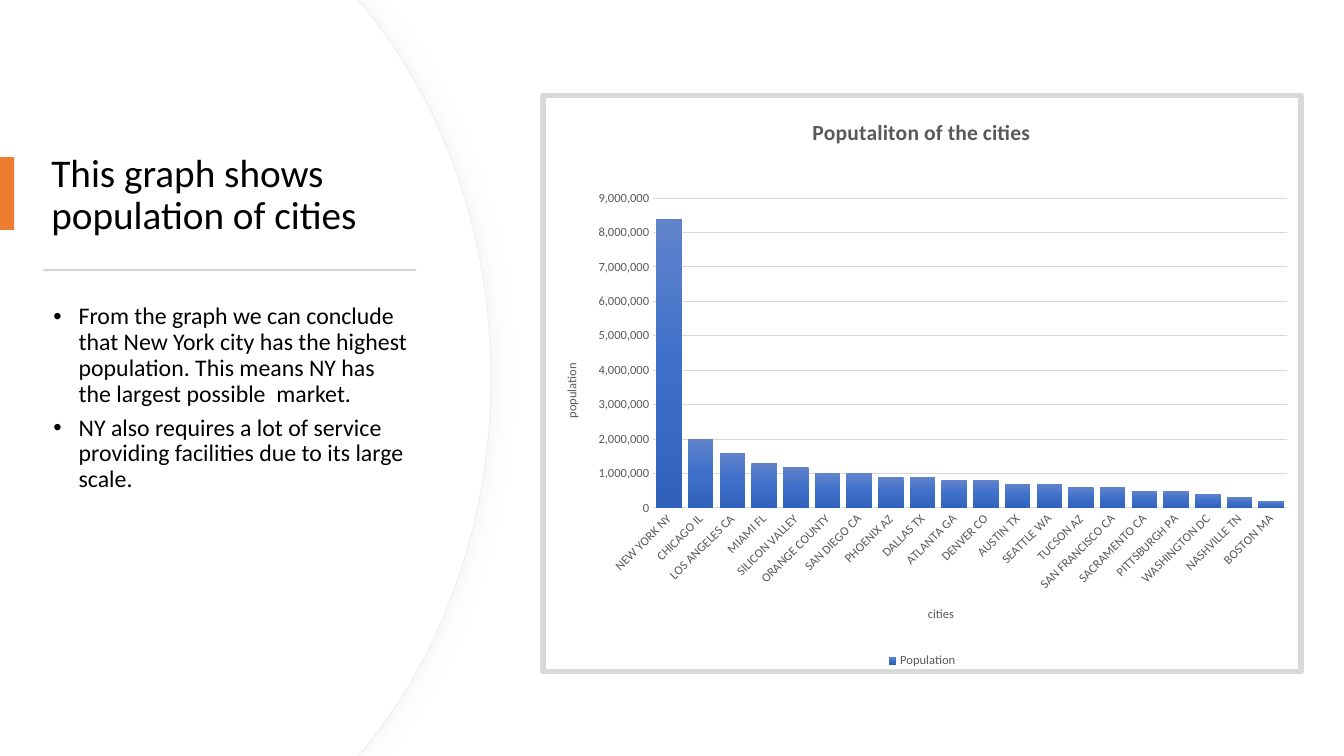
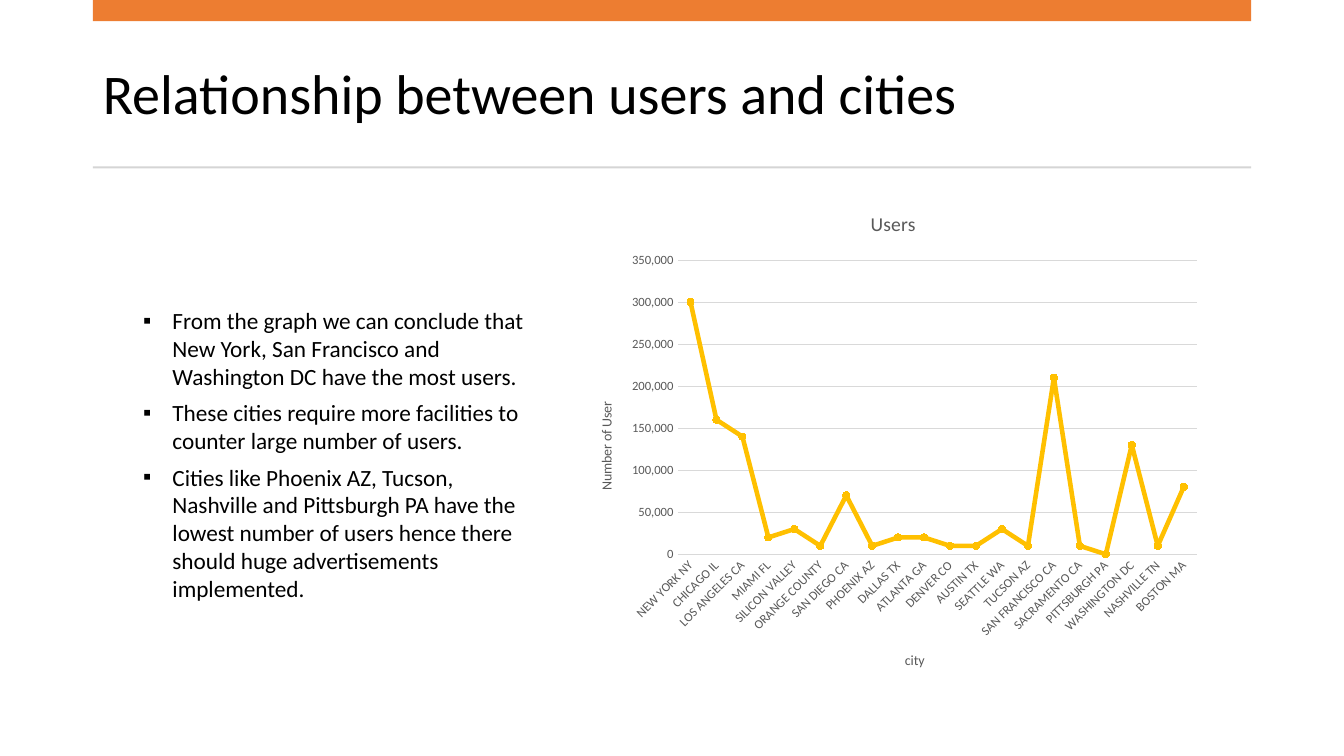
"""Build two slides that chart city population and users."""
from dataclasses import dataclass

from pptx import Presentation
from pptx.chart.data import CategoryChartData
from pptx.dml.color import RGBColor
from pptx.enum.chart import XL_CHART_TYPE, XL_LEGEND_POSITION, XL_MARKER_STYLE, XL_TICK_MARK
from pptx.enum.shapes import MSO_SHAPE
from pptx.enum.text import MSO_ANCHOR, MSO_AUTO_SIZE, PP_ALIGN
from pptx.oxml import parse_xml
from pptx.oxml.ns import nsdecls, qn
from pptx.util import Inches, Pt

COLUMNS = XL_CHART_TYPE.COLUMN_CLUSTERED
LINES = XL_CHART_TYPE.LINE_MARKERS
BOTTOM = XL_LEGEND_POSITION.BOTTOM
CIRCLE = XL_MARKER_STYLE.CIRCLE
NO_TICK = XL_TICK_MARK.NONE
RECTANGLE = MSO_SHAPE.RECTANGLE
TOP, MIDDLE = MSO_ANCHOR.TOP, MSO_ANCHOR.MIDDLE
FIXED_SIZE = MSO_AUTO_SIZE.NONE
LEFT = PP_ALIGN.LEFT


@dataclass(frozen=True)
class Theme:
    font: str = "Calibri"
    text: str = "000000"
    paper: str = "FFFFFF"
    accent: str = "ED7D31"
    rule: str = "D5D5D5"
    curve: str = "EFEFEF"
    grid: str = "D9D9D9"
    label: str = "595959"
    users: str = "FFC000"
    bars: tuple = ("6183CB", "3E70CA", "3062BB")
    tick: float = 9


THEME = Theme()


def style(font, size, color, bold=False):
    font.name, font.size, font.bold = THEME.font, Pt(size), bold
    font.color.rgb = RGBColor.from_string(color)


def pin(parent, index, chart_at, target, **lengths):
    for old in parent.findall(qn("c:layout")):
        parent.remove(old)
    whole = dict(zip("xywh", chart_at[2:] * 2))
    parts = [f'<c:layoutTarget val="{target}"/>'] if target else []
    parts += [f'<c:{side}Mode val="edge"/>' for side in "xy"]
    parts += [f'<c:{side} val="{length / whole[side]}"/>' for side, length in lengths.items()]
    parent.insert(index, parse_xml(
        f'<c:layout {nsdecls("c")}><c:manualLayout>{"".join(parts)}</c:manualLayout></c:layout>'))


CITIES = [
    "NEW YORK NY", "CHICAGO IL", "LOS ANGELES CA", "MIAMI FL", "SILICON VALLEY",
    "ORANGE COUNTY", "SAN DIEGO CA", "PHOENIX AZ", "DALLAS TX", "ATLANTA GA",
    "DENVER CO", "AUSTIN TX", "SEATTLE WA", "TUCSON AZ", "SAN FRANCISCO CA",
    "SACRAMENTO CA", "PITTSBURGH PA", "WASHINGTON DC", "NASHVILLE TN", "BOSTON MA",
]
PAGES = [
    {
        "title": "This graph shows population of cities",
        "title_at": (0.41, 1.27, 3.76, 1.35), "title_size": 28,
        "bullets": [
            "From the graph we can conclude that New York city has the highest population. "
            "This means NY has the largest possible  market.",
            "NY also requires a lot of service providing facilities due to its large scale.",
        ],
        "body_at": (0.41, 2.97, 3.76, 3.51), "body_size": 17, "spacing": 0.9,
        "bullet": "•", "margin": 0.27, "hang": 0.25,
        "accent_at": (0, 1.56, 0.14, 0.72), "rule_at": (0.43, 2.67, 3.7, 0.02),
        "chart_at": (5.36, 0.92, 7.57, 5.77), "kind": COLUMNS, "series": "Population",
        "values": [8400000, 2000000, 1600000, 1300000, 1200000, 1000000, 1000000,
                   900000, 900000, 800000, 800000, 700000, 700000, 600000, 600000,
                   500000, 500000, 400000, 300000, 200000],
        "maximum": 9000000, "step": 1000000,
        "heading": "Poputaliton of the cities", "heading_bold": True,
        "heading_size": 15.5, "heading_xy": (2.65, 0.18), "axis_size": 9,
        "category": "cities", "category_xy": (3.82, 5.09),
        "measure": "population", "measure_xy": (0.18, 2.66),
        "plot": (1.1, 1.03, 6.33, 3.1), "border": 3.75,
    },
    {
        "title": "Relationship between users and cities",
        "title_at": (0.92, 0.37, 11.49, 1.18), "title_size": 40,
        "bullets": [
            "From the graph we can conclude that New York, San Francisco and "
            "Washington DC have the most users.",
            "These cities require more facilities to counter large number of users.",
            "Cities like Phoenix AZ, Tucson, Nashville and Pittsburgh PA have the lowest "
            "number of users hence there should huge advertisements implemented.",
        ],
        "body_at": (1.32, 2.99, 4, 3.87), "body_size": 16.6, "spacing": 1.0,
        "bullet": "▪", "margin": 0.29, "hang": 0.29,
        "accent_at": (0.92, 0, 11.49, 0.21), "rule_at": (0.92, 1.65, 11.49, 0.02),
        "chart_at": (5.73, 1.9, 6.27, 4.95), "kind": LINES, "series": "Users",
        "values": [300000, 160000, 140000, 20000, 30000, 10000, 70000, 10000, 20000,
                   20000, 10000, 10000, 30000, 10000, 210000, 10000, 0, 130000,
                   10000, 80000],
        "maximum": 350000, "step": 50000,
        "heading": "Users", "heading_bold": False,
        "heading_size": 14, "heading_xy": (2.87, 0.15), "axis_size": 10,
        "category": "city", "category_xy": (3.22, 4.54),
        "measure": "Number of User", "measure_xy": (0.17, 2.06),
        "plot": (0.99, 0.68, 5.15, 2.92), "border": 0,
    },
]

prs = Presentation()
prs.slide_width, prs.slide_height = Inches(13.33), Inches(7.5)

for page in PAGES:
    slide = prs.slides.add_slide(prs.slide_layouts[1])
    title, body = slide.placeholders
    for holder, place, anchor in ((title, "title_at", MIDDLE), (body, "body_at", TOP)):
        holder.left, holder.top, holder.width, holder.height = map(Inches, page[place])
        holder.text_frame.word_wrap = True
        holder.text_frame.auto_size = FIXED_SIZE
        holder.text_frame.vertical_anchor = anchor

    headline = title.text_frame.paragraphs[0]
    headline.alignment, headline.line_spacing = LEFT, 0.9
    run = headline.add_run()
    run.text = page["title"]
    style(run.font, page["title_size"], THEME.text)

    for number, point in enumerate(page["bullets"]):
        frame = body.text_frame
        paragraph = frame.add_paragraph() if number else frame.paragraphs[0]
        paragraph.line_spacing = page["spacing"]
        paragraph.space_before, paragraph.space_after = Pt(0), Pt(6)
        run = paragraph.add_run()
        run.text = point
        style(run.font, page["body_size"], THEME.text)
        properties = paragraph._p.get_or_add_pPr()
        properties.set("marL", str(Inches(page["margin"])))
        properties.set("indent", str(-Inches(page["hang"])))
        properties.append(parse_xml(f'<a:buFont {nsdecls("a")} typeface="Arial"/>'))
        properties.append(parse_xml(f'<a:buChar {nsdecls("a")} char="{page["bullet"]}"/>'))

    for place, color in (("accent_at", THEME.accent), ("rule_at", THEME.rule)):
        band = slide.shapes.add_shape(RECTANGLE, *map(Inches, page[place]))
        band.shadow.inherit = False
        band.fill.solid()
        band.fill.fore_color.rgb = RGBColor.from_string(color)
        band.line.fill.background()

    data = CategoryChartData(number_format="#,##0")
    data.categories = CITIES
    data.add_series(page["series"], page["values"])
    chart = slide.shapes.add_chart(page["kind"], *map(Inches, page["chart_at"]), data).chart
    style(chart.font, 10, THEME.text)
    chart.has_title = True
    chart.has_legend = page["kind"] == COLUMNS
    categories, measures = chart.category_axis, chart.value_axis
    categories.has_title = measures.has_title = True

    for caption, part, size, bold in (
        (chart.chart_title, "heading", page["heading_size"], page["heading_bold"]),
        (categories.axis_title, "category", page["axis_size"], False),
        (measures.axis_title, "measure", page["axis_size"], False),
    ):
        run = caption.text_frame.paragraphs[0].add_run()
        run.text = page[part]
        style(run.font, size, THEME.label, bold)
        x, y = page[f"{part}_xy"]
        pin(caption._element, 1, page["chart_at"], None, x=x, y=y)
    measures.axis_title.text_frame._txBody.bodyPr.set("rot", "-5400000")

    for axis in (categories, measures):
        axis.major_tick_mark = axis.minor_tick_mark = NO_TICK
        style(axis.tick_labels.font, THEME.tick, THEME.label)
    categories._element.find(qn("c:txPr")).find(qn("a:bodyPr")).set("rot", "-2700000")
    categories.format.line.color.rgb = RGBColor.from_string(THEME.grid)
    categories.format.line.width = Pt(0.75)
    measures.format.line.fill.background()
    measures.minimum_scale, measures.maximum_scale = 0, page["maximum"]
    measures.major_unit = page["step"]
    measures.tick_labels.number_format = "#,##0"
    measures.tick_labels.number_format_is_linked = False
    measures.has_major_gridlines = True
    measures.major_gridlines.format.line.color.rgb = RGBColor.from_string(THEME.grid)
    measures.major_gridlines.format.line.width = Pt(0.75)

    plot = chart.plots[0]
    plot.vary_by_categories = False
    series = plot.series[0]
    if page["kind"] == COLUMNS:
        plot.gap_width, plot.overlap = 24, -24
        stops = "".join(
            f'<a:gs pos="{number * 50000}"><a:srgbClr val="{color}"/></a:gs>'
            for number, color in enumerate(THEME.bars))
        series._element.get_or_add_spPr().insert(0, parse_xml(
            f'<a:gradFill {nsdecls("a")}><a:gsLst>{stops}</a:gsLst>'
            '<a:lin ang="5400000" scaled="0"/></a:gradFill>'))
        chart.legend.position = BOTTOM
        chart.legend.include_in_layout = False
        style(chart.legend.font, THEME.tick, THEME.label)
    else:
        series.smooth = False
        series.format.line.color.rgb = RGBColor.from_string(THEME.users)
        series.format.line.width = Pt(3.25)
        series.marker.style, series.marker.size = CIRCLE, 5
        series.marker.format.fill.solid()
        series.marker.format.fill.fore_color.rgb = RGBColor.from_string(THEME.users)
        series.marker.format.line.fill.background()

    space = chart._chartSpace
    plot_area = space.chart.find(qn("c:plotArea"))
    pin(plot_area, 0, page["chart_at"], "inner", **dict(zip("xywh", page["plot"])))
    edge = (f'<a:solidFill><a:srgbClr val="{THEME.grid}"/></a:solidFill>'
            if page["border"] else "<a:noFill/>")
    space.chart.addnext(parse_xml(
        f'<c:spPr {nsdecls("c", "a")}><a:solidFill><a:srgbClr val="{THEME.paper}"/></a:solidFill>'
        f'<a:ln w="{Pt(page["border"])}">{edge}</a:ln></c:spPr>'))

shapes = prs.slides[0].shapes
for layer, right in enumerate((4.87, 4.86)):
    corner, bend, pull = right - 1.32, right - 1.25, right - 0.48
    outline = [(corner, 0), (bend, 0.08), (right, 3.75), (bend, 7.42), (corner, 7.5), (0, 7.5)]
    builder = shapes.build_freeform(0, 0)
    builder.add_line_segments([(Inches(x), Inches(y)) for x, y in outline], close=True)
    panel = builder.convert_to_shape()
    curves = (
        ((pull, 1.02), (right, 2.32), (right, 3.75)),
        ((right, 5.18), (pull, 6.48), (bend, 7.42)),
    )
    segments = list(panel._element.iter(qn("a:lnTo")))[2:4]
    for segment, curve in zip(segments, curves):
        points = "".join(f'<a:pt x="{Inches(x)}" y="{Inches(y)}"/>' for x, y in curve)
        segment.getparent().replace(segment, parse_xml(
            f'<a:cubicBezTo {nsdecls("a")}>{points}</a:cubicBezTo>'))
    panel.shadow.inherit = False
    panel.fill.solid()
    panel.fill.fore_color.rgb = RGBColor.from_string(THEME.paper)
    if layer:
        panel.line.fill.background()
    else:
        panel.line.color.rgb = RGBColor.from_string(THEME.curve)
        panel.line.width = Pt(0.75)
        panel._element.spPr.find(qn("a:effectLst")).append(parse_xml(
            f'<a:outerShdw {nsdecls("a")} blurRad="{Pt(14)}" dist="{Pt(3)}" dir="0" '
            f'algn="l" rotWithShape="0"><a:srgbClr val="{THEME.grid}">'
            '<a:alpha val="25000"/></a:srgbClr></a:outerShdw>'))
    shapes._spTree.insert(2 + layer, panel._element)

prs.save("out.pptx")
